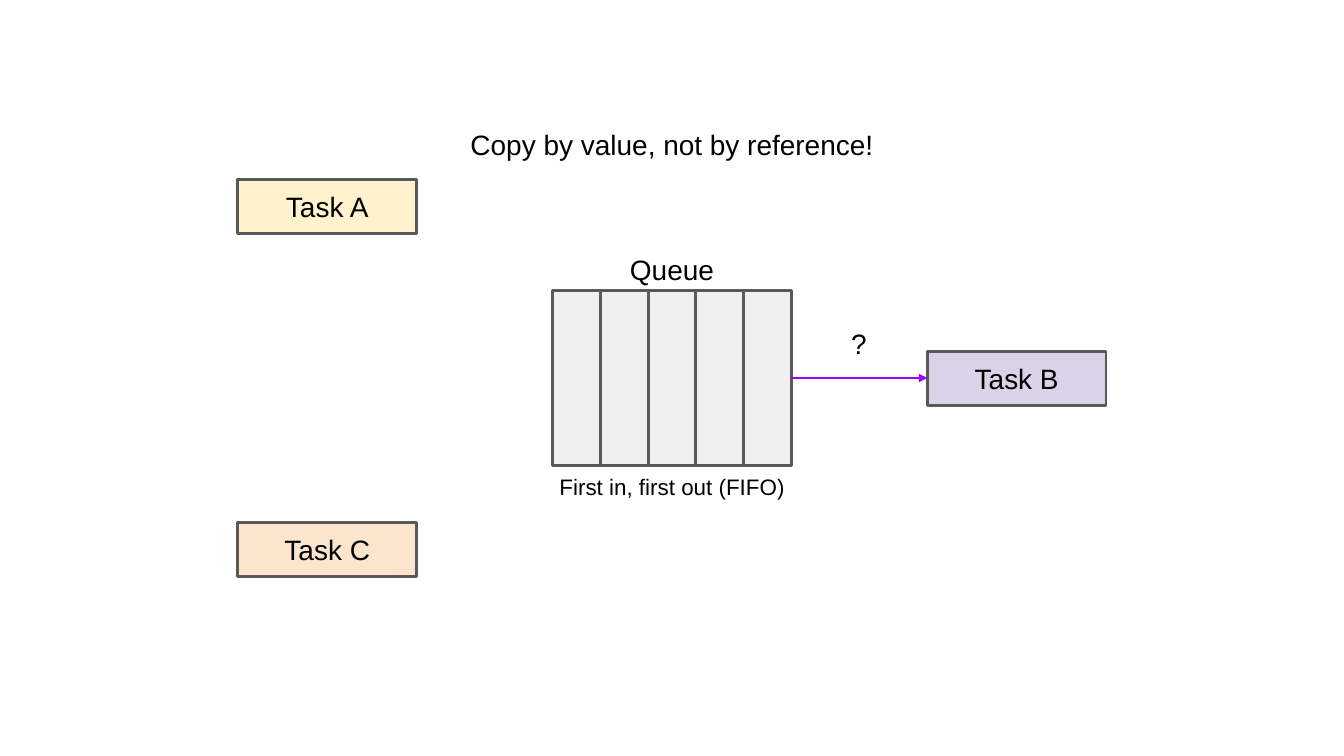
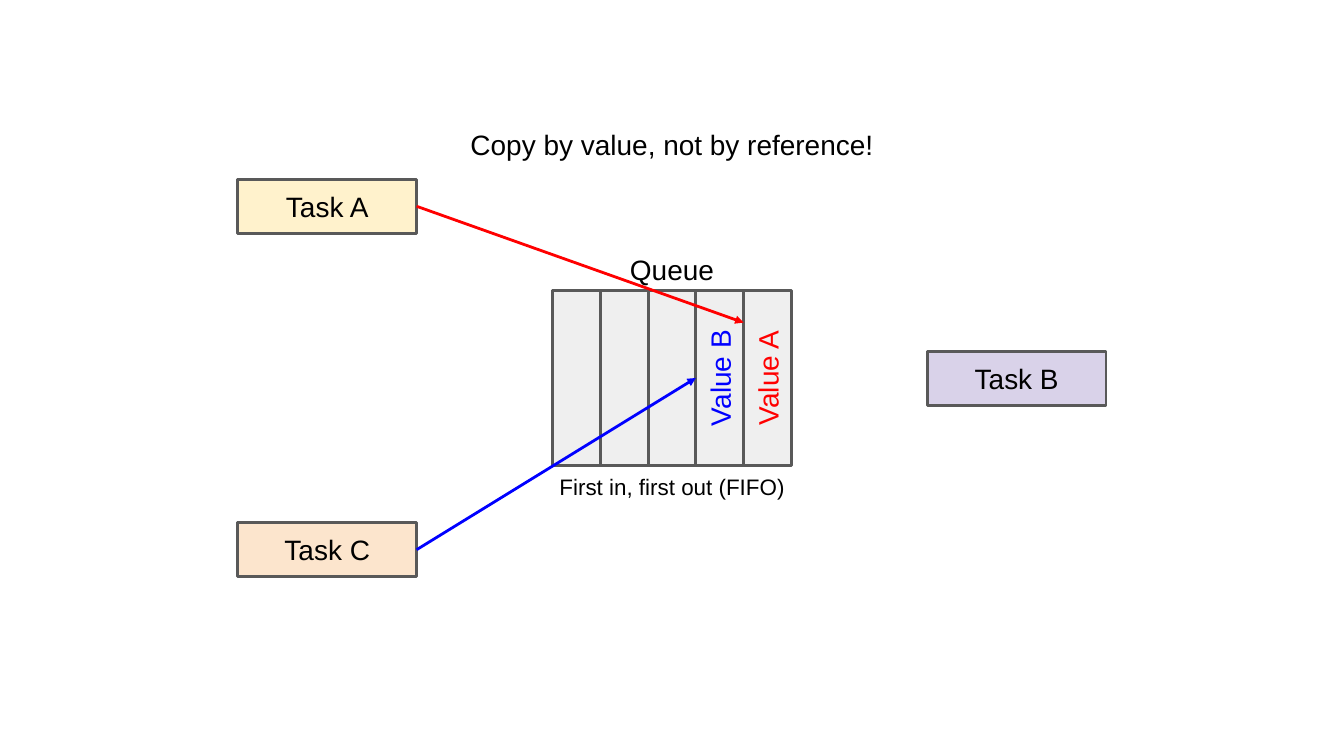
from pptx import Presentation as Deck
from pptx.dml.color import RGBColor as Rgb
from pptx.enum.shapes import MSO_CONNECTOR as Link, MSO_SHAPE as Form
from pptx.enum.text import MSO_ANCHOR as Anchor, PP_ALIGN as Align
from pptx.oxml.ns import qn
from pptx.util import Inches, Pt
from lxml.etree import SubElement as Sub

COLS, ROWS = 20, 11.25
HUES = {
    "ink": "000000", "edge": "595959", "slot": "EFEFEF",
    "gold": "FFF2CC", "peach": "FCE5CD", "lilac": "D9D2E9",
    "red": "FF0000", "blue": "0000FF", "purple": "9900FF",
}
TASKS = {
    "A": (3.54, 2.67, "gold"),
    "B": (13.8, 5.23, "lilac"),
    "C": (3.54, 7.78, "peach"),
}
TASK_W, TASK_H = 2.66, 0.8
SLOTS, SLOT_W, SLOT_H = 5, 0.71, 2.61
MID = COLS / 2
LEVEL = ROWS / 2


def hue(name):
    return Rgb.from_string(HUES[name])


def write(shape, text, size=30, color="ink", font="Arial"):
    frame = shape.text_frame
    frame.word_wrap = True
    frame.vertical_anchor = Anchor.MIDDLE
    for side in ("left", "right", "top", "bottom"):
        setattr(frame, f"margin_{side}", Inches(0.1))
    line = frame.paragraphs[0]
    line.alignment = Align.CENTER
    run = line.add_run()
    run.text = text
    run.font.size = Pt(size)
    run.font.name = font
    run.font.color.rgb = hue(color)


class Board:
    def __init__(self):
        self.deck = Deck()
        self.deck.slide_width = Inches(COLS)
        self.deck.slide_height = Inches(ROWS)
        self.unit = self.deck.slide_width / COLS
        self.stroke = Pt(3)

    def page(self):
        self.slide = self.deck.slides.add_slide(self.deck.slide_layouts[6])

    def grid(self, *spans):
        return [round(span * self.unit) for span in spans]

    def box(self, x, y, w, h, fill, text="", turn=0, **style):
        shape = self.slide.shapes.add_shape(Form.RECTANGLE, *self.grid(x, y, w, h))
        shape.shadow.inherit = False
        shape.rotation = turn
        shape.fill.solid()
        shape.fill.fore_color.rgb = hue(fill)
        shape.line.color.rgb = hue("edge")
        shape.line.width = self.stroke
        if text:
            write(shape, text, **style)

    def label(self, mid, y, w, h, text, **style):
        shape = self.slide.shapes.add_textbox(*self.grid(mid - w / 2, y, w, h))
        write(shape, text, **style)

    def arrow(self, start, end, color):
        link = self.slide.shapes.add_connector(
            Link.STRAIGHT, *self.grid(*start, *end))
        link.line.color.rgb = hue(color)
        link.line.width = self.stroke
        Sub(link.line._get_or_add_ln(), qn("a:tailEnd"), type="triangle")
        Sub(link._element.spPr, qn("a:effectLst"))

    def task(self, name):
        x, y, fill = TASKS[name]
        self.box(x, y, TASK_W, TASK_H, fill, f"Task {name}")

    def queue(self, values):
        for i in range(SLOTS):
            mid = MID + (i - (SLOTS - 1) / 2) * SLOT_W
            text, color = values.get(i, ("", "ink"))
            self.box(mid - SLOT_H / 2, LEVEL - SLOT_W / 2, SLOT_H, SLOT_W,
                     "slot", text, turn=270, color=color)

    def scene(self, values):
        self.page()
        for name in TASKS:
            self.task(name)
        self.queue(values)
        self.label(MID, 1.64, 7.35, 1.02, "Copy by value, not by reference!")
        self.label(MID, 3.65, 2.28, 0.71, "Queue")
        self.label(MID, 6.89, 3.95, 0.71, "First in, first out (FIFO)", size=24)


def exit_of(name):
    x, y, _ = TASKS[name]
    return x + TASK_W, y + TASK_H / 2


def edge(i):
    return MID + (i - SLOTS / 2) * SLOT_W


def main():
    board = Board()

    board.scene({})
    board.arrow((edge(SLOTS), LEVEL), (TASKS["B"][0], LEVEL), "purple")
    board.label(12.78, 4.6, 0.93, 1.02, "?")

    board.scene({3: ("Value B", "blue"), 4: ("Value A", "red")})
    board.arrow(exit_of("C"), (edge(3), LEVEL), "blue")
    board.arrow(exit_of("A"), (edge(4), 4.8), "red")

    board.deck.save("out.pptx")


if __name__ == "__main__":
    main()
